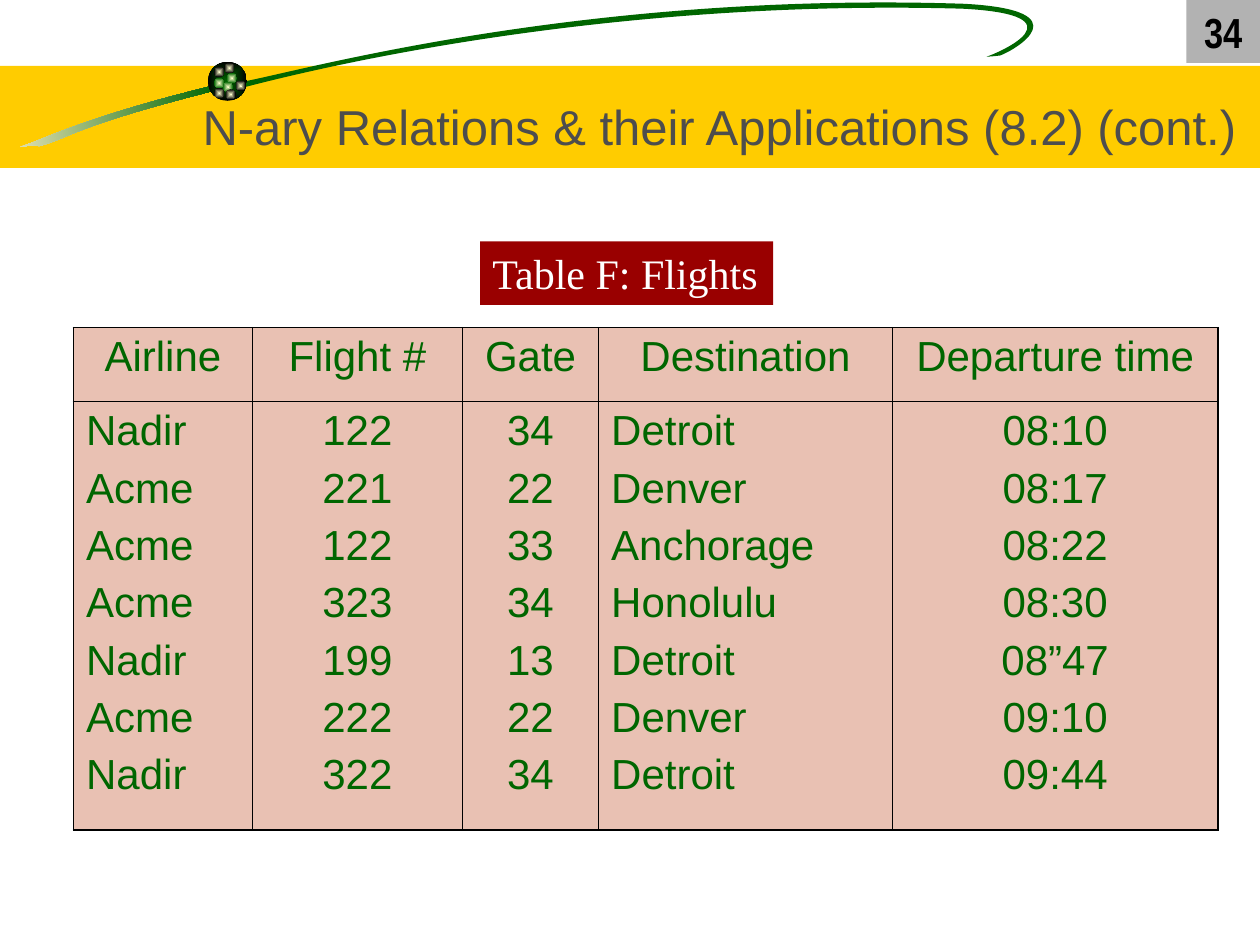
import math
from typing import NamedTuple

import pptx
import pptx.dml.color
import pptx.enum.shapes
import pptx.enum.text
import pptx.oxml
import pptx.oxml.ns
import pptx.util

Pt = pptx.util.Pt
qn = pptx.oxml.ns.qn
ALIGN = pptx.enum.text.PP_ALIGN
ANCHOR = pptx.enum.text.MSO_ANCHOR
SHAPE = pptx.enum.shapes.MSO_SHAPE

COLORS = {
    "band": "FFCC00", "green": "006600", "black": "000000", "cream": "F5EBC1",
    "glow": "FFFFCC", "gray": "B2B2B2", "title": "4D4D4D", "cell": "E9C1B3",
    "red": "990000", "white": "FFFFFF",
}


class Frame(NamedTuple):
    left: float
    top: float
    width: float
    height: float


class Bead(NamedTuple):
    left: float
    top: float
    edge: str


class Outline(NamedTuple):
    """A closed run of cubic curves: a start, then three points per curve."""
    center: tuple[float, float]
    start: tuple[float, float]
    points: list[tuple[float, float]]


class Column(NamedTuple):
    heading: str
    width: float
    align: ALIGN
    values: str


BALL = Frame(118.8, 35.3, 22.3, 22.3)
BEAD_SIZE = 5.8
BEADS = [
    Bead(129.6, 41.8, "green"), Bead(122.4, 38.2, "black"),
    Bead(122.4, 44.6, "green"), Bead(127.4, 46.8, "green"),
    Bead(134.6, 46.1, "black"), Bead(128.9, 51.1, "black"),
    Bead(122.4, 50.4, "black"), Bead(128.2, 36, "black"),
]

TILT = 351.5
TAIL = Outline((61.9, 68), (121.7, 49), [
    (62.6, 63.4), (34.6, 74.9), (18.7, 81.4),
    (2.2, 87.1), (19.4, 81.4), (22.3, 83.5),
    (39.6, 79.2), (40.3, 72.7), (122.4, 51.8),
    (122.4, 51.8), (121.7, 49), (121.7, 49),
])
SWOOSH = Outline((378.7, 23.8), (138.2, 46.8), [
    (167.8, 41.8), (329.8, -5), (550.8, 2.2),
    (619.9, 5.8), (579.6, 28.8), (571.7, 31.7),
    (571.7, 31.7), (566.6, 32.4), (563.8, 32.4),
    (571, 30.2), (619.9, 8.6), (550.1, 5),
    (371.5, 0), (218.2, 29.5), (140.4, 49.7),
    (140.4, 49.7), (138.2, 46.8), (138.2, 46.8),
])

COLUMNS = [
    Column("Airline", 102.2, ALIGN.LEFT, "Nadir Acme Acme Acme Nadir Acme Nadir"),
    Column("Flight #", 120.1, ALIGN.CENTER, "122 221 122 323 199 222 322"),
    Column("Gate", 77.8, ALIGN.CENTER, "34 22 33 34 13 22 34"),
    Column("Destination", 167.9, ALIGN.LEFT,
           "Detroit Denver Anchorage Honolulu Detroit Denver Detroit"),
    Column("Departure time", 186, ALIGN.CENTER,
           "08:10 08:17 08:22 08:30 08”47 09:10 09:44"),
]
ROW_HEIGHTS = [42.25, 245]
TABLE_LEFT, TABLE_TOP = 42, 187.2
INNER_LINE, OUTER_LINE = 0.45, 1.08


def rgb(color: str):
    return pptx.dml.color.RGBColor.from_string(COLORS[color])


def set_fill(shape, color: str, edge: str = "", radial: bool = False) -> None:
    """Fill with one colour, or with a gradient from color to edge."""
    shape.shadow.inherit = False
    shape.line.fill.background()
    if not edge:
        shape.fill.solid()
        shape.fill.fore_color.rgb = rgb(color)
        return
    shape.fill.gradient()
    shape.fill.gradient_angle = 0
    for stop, name in zip(shape.fill.gradient_stops, (color, edge)):
        stop.color.rgb = rgb(name)
    if radial:
        linear = next(shape.element.iter(qn("a:lin")))
        center = pptx.oxml.parse_xml(
            f'<a:path {pptx.oxml.ns.nsdecls("a")} path="rect"><a:fillToRect '
            'l="50000" t="50000" r="50000" b="50000"/></a:path>')
        linear.getparent().replace(linear, center)


def add_block(page, kind: SHAPE, frame: Frame, color: str, edge: str = ""):
    box = page.shapes.add_shape(kind, *map(Pt, frame))
    set_fill(box, color, edge, radial=True)
    return box


def add_outline(page, outline: Outline, color: str, edge: str = "") -> None:
    turn = math.radians(360 - TILT)
    center_x, center_y = outline.center

    def level(point: tuple[float, float]) -> tuple[int, int]:
        x, y = point[0] - center_x, point[1] - center_y
        return (Pt(center_x + x * math.cos(turn) - y * math.sin(turn)),
                Pt(center_y + x * math.sin(turn) + y * math.cos(turn)))

    builder = page.shapes.build_freeform(*level(outline.start))
    builder.add_line_segments([level(point) for point in outline.points], close=True)
    shape = builder.convert_to_shape()
    shape.rotation = TILT
    set_fill(shape, color, edge)

    # Every three straight segments become one cubic curve
    lines = list(shape.element.iter(qn("a:lnTo")))
    for first in range(0, len(lines), 3):
        curve = pptx.oxml.parse_xml(f'<a:cubicBezTo {pptx.oxml.ns.nsdecls("a")}/>')
        lines[first].addprevious(curve)
        for line in lines[first:first + 3]:
            curve.append(line[0])
            line.getparent().remove(line)


def write(frame, lines: list[str], align: ALIGN, color: str, size: float = 24,
          name: str = "Arial", bold: bool = False, before: float = 0) -> None:
    for index, line in enumerate(lines):
        para = frame.add_paragraph() if index else frame.paragraphs[0]
        para.alignment = align
        para.space_before = Pt(before)
        span = para.add_run()
        span.text = line
        for key, value in {"size": Pt(size), "name": name, "bold": bold}.items():
            setattr(span.font, key, value)
        span.font.color.rgb = rgb(color)


def add_borders(cell, widths: dict[str, float]) -> None:
    properties = cell._tc.get_or_add_tcPr()
    for side, width in widths.items():
        properties.append(pptx.oxml.parse_xml(
            f'<a:ln{side} {pptx.oxml.ns.nsdecls("a")} w="{Pt(width)}"><a:solidFill>'
            f'<a:srgbClr val="{COLORS["black"]}"/></a:solidFill></a:ln{side}>'))


def add_flights(page) -> None:
    size = sum(column.width for column in COLUMNS), sum(ROW_HEIGHTS)
    table = page.shapes.add_table(len(ROW_HEIGHTS), len(COLUMNS),
                                  *map(Pt, (TABLE_LEFT, TABLE_TOP, *size))).table
    table.first_row = table.horz_banding = False
    for row, height in zip(table.rows, ROW_HEIGHTS):
        row.height = Pt(height)
    for index, column in enumerate(COLUMNS):
        table.columns[index].width = Pt(column.width)
        contents = [([column.heading], ALIGN.CENTER), (column.values.split(), column.align)]
        for row, (lines, align) in enumerate(contents):
            cell = table.cell(row, index)
            outer = {"L": index == 0, "R": index == len(COLUMNS) - 1,
                     "T": row == 0, "B": row == len(ROW_HEIGHTS) - 1}
            add_borders(cell, {side: OUTER_LINE if edge else INNER_LINE
                               for side, edge in outer.items()})
            cell.fill.solid()
            cell.fill.fore_color.rgb = rgb("cell")
            write(cell.text_frame, lines, align, "green", before=6)


def main() -> None:
    deck = pptx.Presentation()
    deck.slide_width, deck.slide_height = Pt(720), Pt(540)
    page = deck.slides.add_slide(deck.slide_layouts[5])

    # Band, swoosh and beaded ball
    add_block(page, SHAPE.RECTANGLE, Frame(0, 37.6, 720, 58.3), "band")
    add_outline(page, TAIL, "cream", "green")
    add_outline(page, SWOOSH, "green")
    add_block(page, SHAPE.OVAL, BALL, "green", "black")
    for bead in BEADS:
        add_block(page, SHAPE.OVAL, Frame(bead.left, bead.top, BEAD_SIZE, BEAD_SIZE),
                  "glow", bead.edge)

    # Page number
    number = add_block(page, SHAPE.RECTANGLE, Frame(678, 0, 42, 36), "gray")
    number.text_frame.vertical_anchor = ANCHOR.TOP
    write(number.text_frame, ["34"], ALIGN.CENTER, "black", name="Arial Narrow", bold=True)

    # Title, brought in front of the band
    title = page.shapes.title
    for key, value in Frame(102, 42, 618, 60)._asdict().items():
        setattr(title, key, Pt(value))
    title.text_frame.vertical_anchor = ANCHOR.MIDDLE
    write(title.text_frame, ["N-ary Relations & their Applications (8.2) (cont.)"],
          ALIGN.CENTER, "title", size=28)
    page.shapes.element.append(title.element)

    # Flights table and its caption
    add_flights(page)
    caption = add_block(page, SHAPE.RECTANGLE, Frame(274.3, 138, 167.5, 36.3), "red")
    for key, value in {"word_wrap": False, "vertical_anchor": ANCHOR.TOP,
                       "auto_size": pptx.enum.text.MSO_AUTO_SIZE.SHAPE_TO_FIT_TEXT}.items():
        setattr(caption.text_frame, key, value)
    write(caption.text_frame, ["Table F: Flights"], ALIGN.LEFT, "white",
          name="Times New Roman")

    deck.save("out.pptx")


if __name__ == "__main__":
    main()
